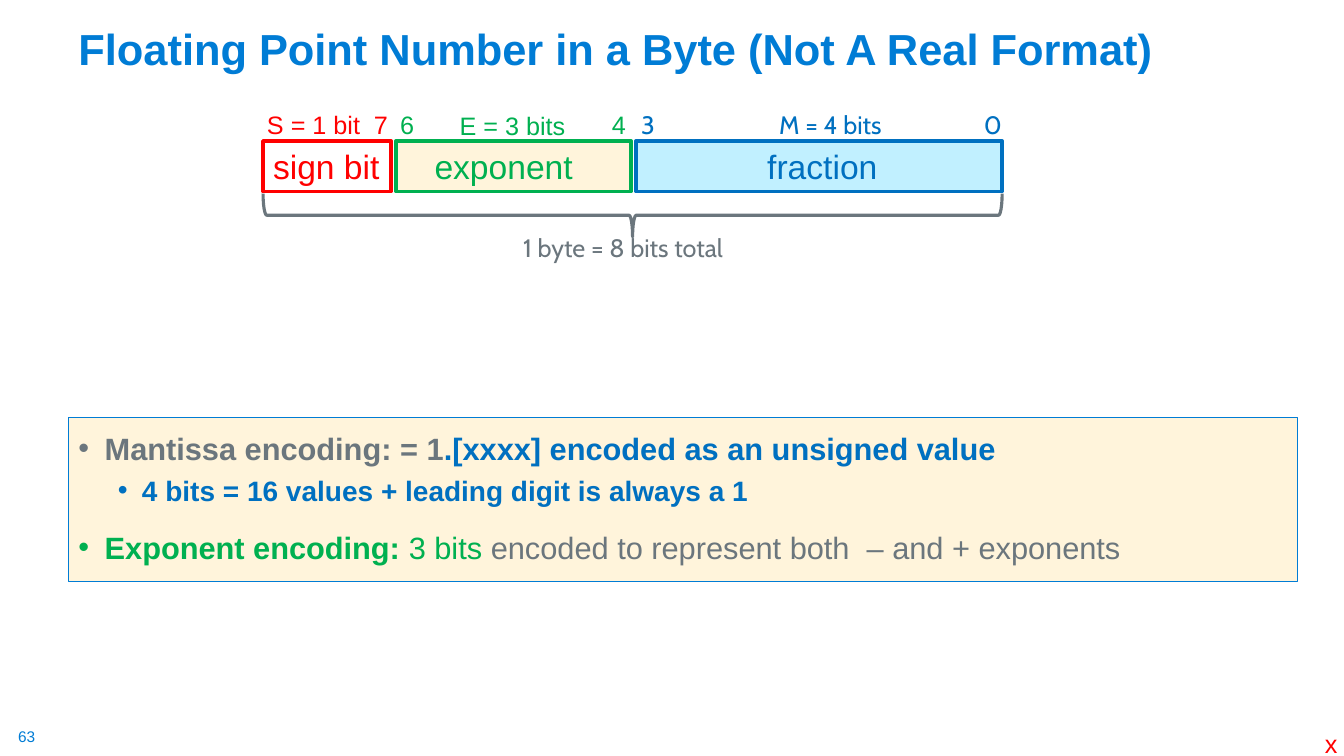
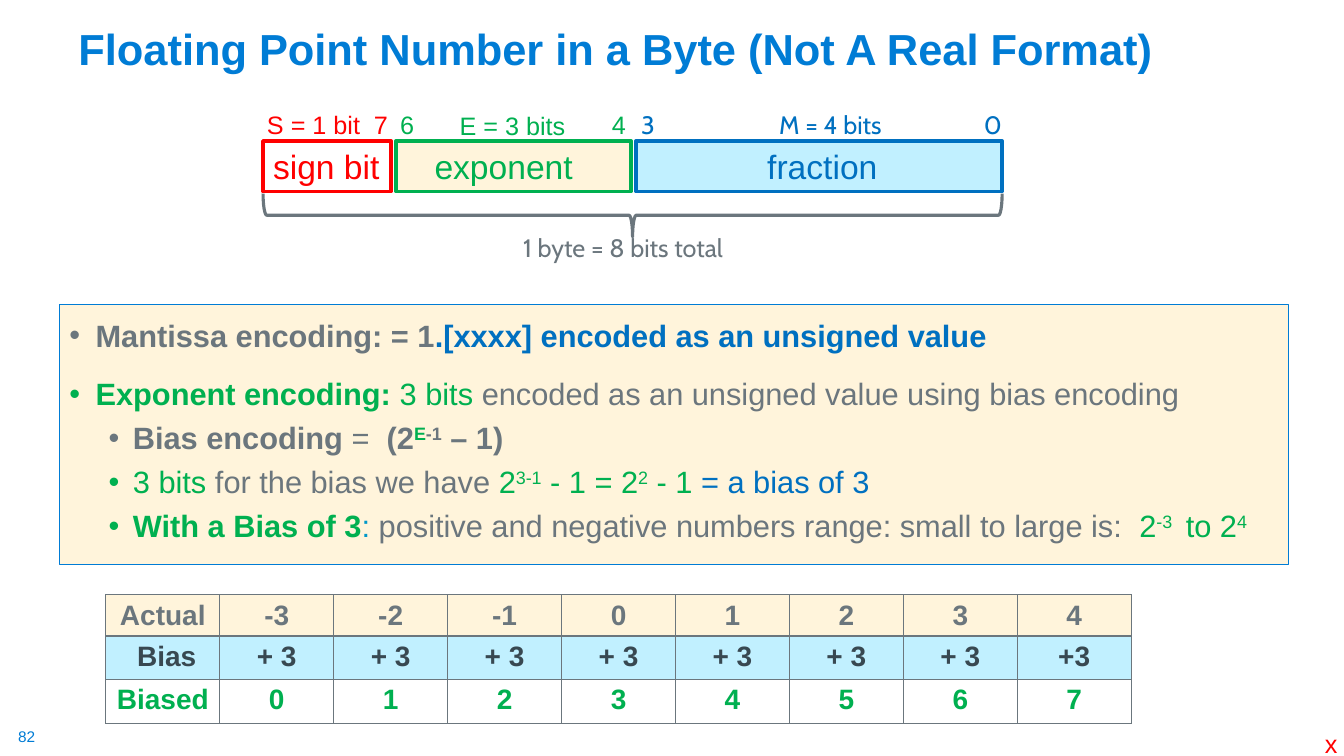
from lxml.etree import SubElement
from pptx import Presentation
from pptx.dml.color import RGBColor
from pptx.enum.shapes import MSO_SHAPE
from pptx.enum.text import MSO_ANCHOR, PP_ALIGN
from pptx.oxml.ns import qn
from pptx.util import Inches, Pt

TITLE_BLUE = RGBColor(0x00, 0x7C, 0xD5)
BLUE = RGBColor(0x00, 0x70, 0xC0)
TEAL = RGBColor(0x00, 0x98, 0xC9)
GREEN = RGBColor(0x00, 0xB0, 0x50)
RED = RGBColor(0xFF, 0x00, 0x00)
GRAY = RGBColor(0x6B, 0x76, 0x7D)
DARK = RGBColor(0x38, 0x48, 0x51)
CREAM = RGBColor(0xFF, 0xF4, 0xDB)
SKY = RGBColor(0xC1, 0xF0, 0xFF)

TITLE = "Floating Point Number in a Byte (Not A Real Format)"

# Name, left, width, text indent, colour, fill
FIELDS = [
    ("sign bit", 2.61, 1.27, 0, RED, None),
    ("exponent", 3.93, 2.33, 0.28, GREEN, CREAM),
    ("fraction", 6.31, 3.63, 1.2, BLUE, SKY),
]
FIELD_TOP, FIELD_HEIGHT = 1.4, 0.5
BRACE_DEPTH = 0.43

# Text, left, top, width, colour, font
LABELS = [
    ("S = 1 bit", 2.55, 1.04, 1.13, RED, "Arial"),
    ("E = 3 bits", 4.46, 1.05, 1.26, GREEN, "Arial"),
    ("M = 4 bits", 7.63, 1.04, 1.22, BLUE, "Cabin"),
    ("7", 3.61, 1.04, 0.34, RED, "Arial"),
    ("6", 3.87, 1.04, 0.34, GREEN, "Arial"),
    ("4", 5.97, 1.04, 0.34, GREEN, "Arial"),
    ("3", 6.26, 1.04, 0.33, BLUE, "Cabin"),
    ("0", 9.66, 1.04, 0.33, BLUE, "Cabin"),
    ("1 byte = 8 bits total", 5.09, 2.26, 2.23, GRAY, "Cabin"),
]

# A point is level, size, runs; a run is text, colour, style (b bold, ^ superscript)
MANTISSA = (0, 22, [
    ("Mantissa encoding: = 1", GRAY, "b"),
    (".[xxxx] encoded as an unsigned value", BLUE, "b"),
])
EXPONENT_START = [("Exponent encoding: ", GREEN, "b"), ("3 bits ", GREEN, "")]

SLIDES = [
    {
        "number": "63",
        "panel": (0.68, 4.14, 12.19, 1.63),
        "points": [
            MANTISSA,
            (1, 20, [("4 bits = 16 values + leading digit is always a 1", BLUE, "b")]),
            (0, 22, EXPONENT_START + [
                ("encoded to represent both  – and + exponents", GRAY, "")]),
        ],
        "bias_tables": [],
    },
    {
        "number": "82",
        "panel": (0.59, 3.02, 12.19, 2.58),
        "points": [
            MANTISSA,
            (0, 22, EXPONENT_START + [
                ("encoded as an unsigned value using bias encoding", GRAY, "")]),
            (1, 22, [
                ("Bias encoding ", GRAY, "b"), ("=  ", GRAY, ""), ("(2", GRAY, "b"),
                ("E", GREEN, "b^"), ("-1", GRAY, "b^"), (" – 1)", GRAY, "b")]),
            (1, 22, [
                ("3 bits ", GREEN, ""), ("for the bias we have ", GRAY, ""),
                ("2", GREEN, ""), ("3-1", GREEN, "^"), (" - 1 = 2", GREEN, ""),
                ("2", GREEN, "^"), (" - 1 ", GREEN, ""), ("= a bias of 3", BLUE, "")]),
            (1, 22, [
                ("With a Bias of 3", GREEN, "b"), (": ", TEAL, ""),
                ("positive and negative numbers range: small to large is:  ", GRAY, ""),
                ("2", GREEN, ""), ("-3 ", GREEN, "^"), (" to 2", GREEN, ""),
                ("4", GREEN, "^")]),
        ],
        # Top, text colour, fill, cells
        "bias_tables": [
            (5.9, GRAY, CREAM, ["Actual", "-3", "-2", "-1", "0", "1", "2", "3", "4"]),
            (6.74, GREEN, None, ["Biased", "0", "1", "2", "3", "4", "5", "6", "7"]),
            (6.31, DARK, SKY, [" Bias"] + ["+ 3"] * 7 + ["+3"]),
        ],
    },
]

# Left margin, first-line indent, space before, line spacing
LEVELS = [(0.26, -0.26, 10, 1.2), (0.63, -0.24, 5, 1.0)]


def add_run(paragraph, text, size, color, style="", font="Arial"):
    run = paragraph.add_run()
    run.text = text
    formats = {"size": Pt(size), "name": font, "bold": "b" in style}
    for name, value in formats.items():
        setattr(run.font, name, value)
    run.font.color.rgb = color
    if "^" in style:
        run._r.get_or_add_rPr().set("baseline", "30000")


def add_text(shapes, box, text, size, color, style="", font="Arial", **frame_formats):
    frame = shapes.add_textbox(*map(Inches, box)).text_frame
    for name, value in {"word_wrap": False, **frame_formats}.items():
        setattr(frame, name, value)
    add_run(frame.paragraphs[0], text, size, color, style, font)
    return frame


def set_fill(fill, color):
    if color is None:
        fill.background()
    else:
        fill.solid()
        fill.fore_color.rgb = color


def add_outlined(shapes, preset, box, fill, line, width):
    shape = shapes.add_shape(preset, *map(Inches, box))
    shape.shadow.inherit = False
    set_fill(shape.fill, fill)
    shape.line.color.rgb = line
    shape.line.width = Pt(width)
    return shape


def add_byte_diagram(slide):
    shapes = slide.shapes.add_group_shape().shapes
    for name, left, width, indent, color, fill in FIELDS:
        box = (left, FIELD_TOP, width, FIELD_HEIGHT)
        field = add_outlined(shapes, MSO_SHAPE.RECTANGLE, box, fill, color, 2.75)
        frame = field.text_frame
        formats = {"margin_left": Inches(0.1 + indent), "margin_right": 0,
                   "vertical_anchor": MSO_ANCHOR.MIDDLE}
        for key, value in formats.items():
            setattr(frame, key, value)
        frame.paragraphs[0].alignment = PP_ALIGN.LEFT
        add_run(frame.paragraphs[0], name, 24, color)
    for text, left, top, width, color, font in LABELS:
        add_text(shapes, (left, top, width, 0.4), text, 18, color, font=font)

    start, end = FIELDS[0][1], FIELDS[-1][1] + FIELDS[-1][2]
    span = end - start
    middle = FIELD_TOP + FIELD_HEIGHT + 0.02 + BRACE_DEPTH / 2
    box = ((start + end - BRACE_DEPTH) / 2, middle - span / 2, BRACE_DEPTH, span)
    brace = add_outlined(shapes, MSO_SHAPE.LEFT_BRACE, box, None, GRAY, 2.25)
    brace.rotation = 270


def add_panel(slide, box, points):
    panel = add_outlined(slide.shapes, MSO_SHAPE.RECTANGLE, box, CREAM, TITLE_BLUE, 0.75)
    frame = panel.text_frame
    frame.vertical_anchor = MSO_ANCHOR.TOP
    for index, (level, size, runs) in enumerate(points):
        paragraph = frame.add_paragraph() if index else frame.paragraphs[0]
        margin, indent, before, spacing = LEVELS[level]
        properties = paragraph._p.get_or_add_pPr()
        properties.set("marL", str(Inches(margin)))
        properties.set("indent", str(Inches(indent)))
        SubElement(properties, qn("a:buFont")).set("typeface", "Arial")
        SubElement(properties, qn("a:buChar")).set("char", "•")
        formats = {"level": level, "alignment": PP_ALIGN.LEFT, "line_spacing": spacing,
                   "space_before": Pt(before if index else 0)}
        for name, value in formats.items():
            setattr(paragraph, name, value)
        for text, color, style in runs:
            add_run(paragraph, text, size, color, style)


def add_cell_borders(cell):
    properties = cell._tc.get_or_add_tcPr()
    for index, side in enumerate(("a:lnL", "a:lnR", "a:lnT", "a:lnB")):
        line = properties.makeelement(qn(side), {"w": str(Pt(1))})
        properties.insert(index, line)
        solid = SubElement(line, qn("a:solidFill"))
        SubElement(solid, qn("a:srgbClr")).set("val", str(GRAY))


def add_bias_table(slide, top, color, fill, values):
    """Add a one-row table; the tables stack into one grid."""
    column_width, row_height = 1.13, 0.41
    box = (1.05, top, column_width * len(values), row_height)
    table = slide.shapes.add_table(1, len(values), *map(Inches, box)).table
    for column, cell, value in zip(table.columns, table.rows[0].cells, values):
        column.width = Inches(column_width)
        set_fill(cell.fill, fill)
        add_cell_borders(cell)
        paragraph = cell.text_frame.paragraphs[0]
        paragraph.alignment = PP_ALIGN.CENTER
        add_run(paragraph, value, 20, color, "b")


def add_frame(slide, number):
    """Add the title, slide number and corner mark that every slide carries."""
    title = add_text(slide.shapes, (0.68, 0.2, 11.5, 0.59), TITLE, 31, TITLE_BLUE, "b",
                     word_wrap=True, vertical_anchor=MSO_ANCHOR.BOTTOM)
    title.paragraphs[0].line_spacing = 0.9
    no_margins = {f"margin_{side}": 0 for side in ("left", "top", "right", "bottom")}
    add_text(slide.shapes, (0.18, 7.21, 0.19, 0.19), number, 11, TITLE_BLUE, **no_margins)
    add_text(slide.shapes, (13.14, 7.23, 0.13, 0.27), "x", 18, RED, **no_margins)


def main():
    presentation = Presentation()
    presentation.slide_width = Inches(13.33)
    presentation.slide_height = Inches(7.5)
    for content in SLIDES:
        slide = presentation.slides.add_slide(presentation.slide_layouts[6])
        add_frame(slide, content["number"])
        add_panel(slide, content["panel"], content["points"])
        add_byte_diagram(slide)
        for bias_table in content["bias_tables"]:
            add_bias_table(slide, *bias_table)
    presentation.save("out.pptx")


if __name__ == "__main__":
    main()
